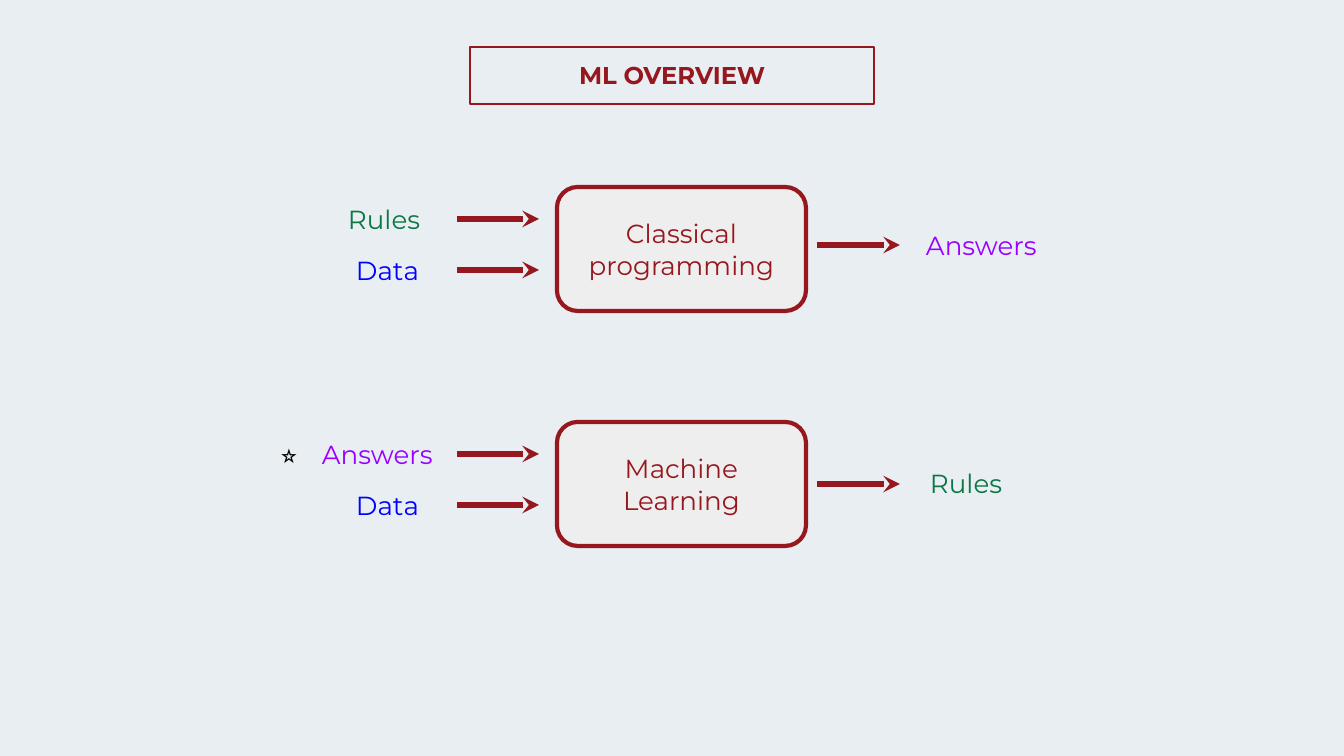
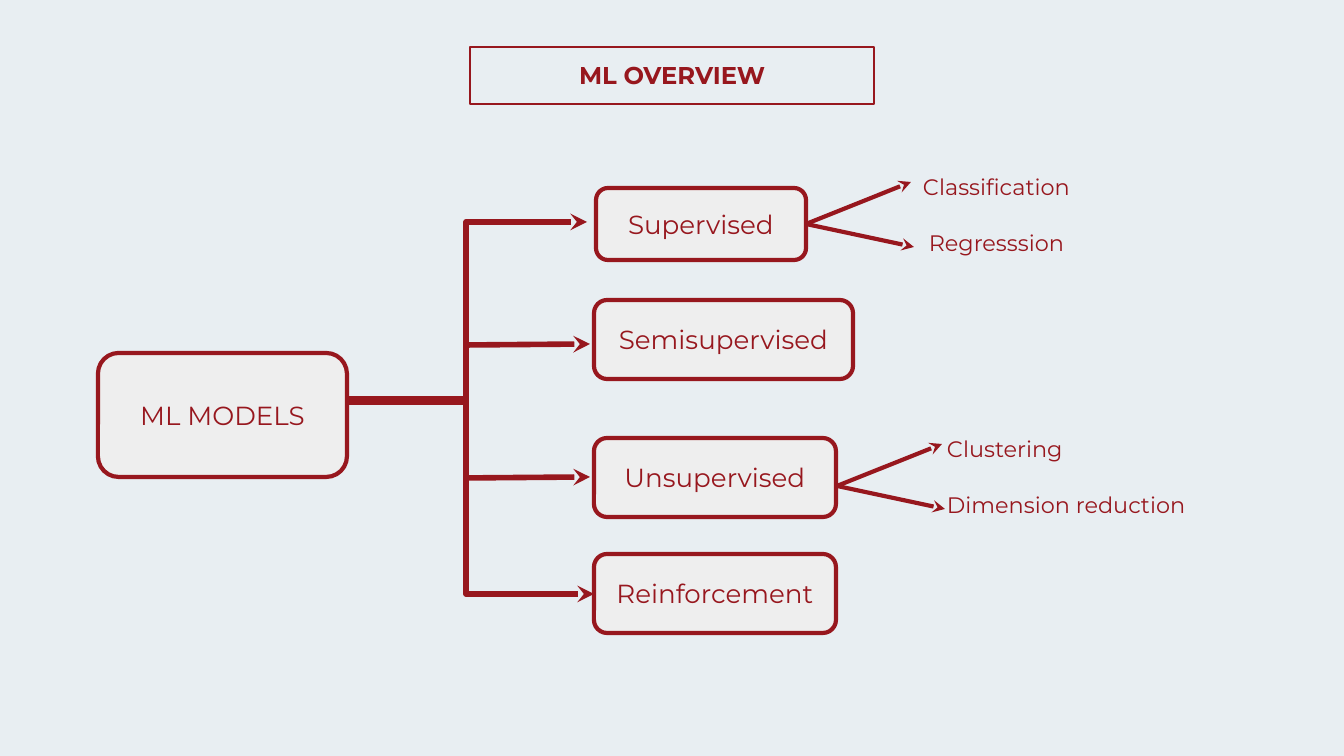
from dataclasses import dataclass

import pptx
import pptx.dml.color
import pptx.enum.shapes
import pptx.enum.text
import pptx.oxml
import pptx.oxml.ns
import pptx.util

EMU_PER_PX = 914400 / 134.4
SHAPE = pptx.enum.shapes.MSO_SHAPE
CONNECTOR = pptx.enum.shapes.MSO_CONNECTOR
ALIGN = pptx.enum.text.PP_ALIGN


@dataclass(frozen=True)
class Theme:
    background: str = "E8EEF2"
    accent: str = "97171E"
    box_fill: str = "EEEEEE"
    rules: str = "0B7743"
    data: str = "0000FF"
    answers: str = "9900FF"
    star: str = "000000"
    font: str = "Montserrat"
    star_font: str = "Arial"
    title_size: int = 13
    body_size: int = 14
    small_size: int = 12
    frame_line: float = 0.75
    box_line: float = 2.25
    flow_line: float = 3
    branch_gap: float = 15.5


THEME = Theme()


def px(*lengths):
    return [round(length * EMU_PER_PX) for length in lengths]


def rgb(color):
    return pptx.dml.color.RGBColor.from_string(color)


def write(frame, text, size, color, align, font=THEME.font, bold=False, gap=0):
    frame.word_wrap = True
    inset, = px(13)
    frame.margin_left = frame.margin_right = inset
    frame.margin_top = frame.margin_bottom = inset
    frame.text = text
    for index, paragraph in enumerate(frame.paragraphs):
        paragraph.alignment = align
        if index:
            paragraph.space_before = pptx.util.Pt(gap)
        for run in paragraph.runs:
            run.font.name = font
            run.font.size = pptx.util.Pt(size)
            run.font.bold = bold
            run.font.color.rgb = rgb(color)


def add_label(slide, bounds, text, color, size=THEME.body_size, align=ALIGN.LEFT, **style):
    label = slide.shapes.add_textbox(*px(*bounds))
    write(label.text_frame, text, size, color, align, **style)
    label.text_frame.auto_size = pptx.enum.text.MSO_AUTO_SIZE.SHAPE_TO_FIT_TEXT


def add_outline(slide, preset, bounds, width):
    outline = slide.shapes.add_shape(preset, *px(*bounds))
    outline.shadow.inherit = False
    outline.line.color.rgb = rgb(THEME.accent)
    outline.line.width = pptx.util.Pt(width)
    return outline


def add_box(slide, bounds, text):
    box = add_outline(slide, SHAPE.ROUNDED_RECTANGLE, bounds, THEME.box_line)
    box.fill.solid()
    box.fill.fore_color.rgb = rgb(THEME.box_fill)
    write(box.text_frame, text, THEME.body_size, THEME.accent, ALIGN.CENTER)
    box.text_frame.vertical_anchor = pptx.enum.text.MSO_ANCHOR.MIDDLE
    return box


def add_arrow(slide, start, end, width=THEME.flow_line, kind=CONNECTOR.STRAIGHT):
    arrow = slide.shapes.add_connector(kind, *px(*start, *end))
    arrow.line.color.rgb = rgb(THEME.accent)
    arrow.line.width = pptx.util.Pt(width)
    head = pptx.oxml.ns.nsdecls("a")
    arrow.line._get_or_add_ln().append(
        pptx.oxml.parse_xml(f'<a:tailEnd {head} type="stealth"/>'))
    arrow._element.spPr.append(pptx.oxml.parse_xml(f"<a:effectLst {head}/>"))
    return arrow


def add_trunk(slide, start, end, bend_x):
    trunk = add_arrow(slide, start, end, kind=CONNECTOR.ELBOW)
    bend = round((bend_x - start[0]) / (end[0] - start[0]) * 100000)
    guides = trunk._element.spPr.find(".//" + pptx.oxml.ns.qn("a:avLst"))
    guides.append(pptx.oxml.parse_xml(
        f'<a:gd {pptx.oxml.ns.nsdecls("a")} name="adj1" fmla="val {bend}"/>'))


def add_branches(slide, origin, tasks, width, align, parent=None):
    x, y = origin
    for dx, dy in ((105, -42), (108, 23)):
        branch = add_arrow(slide, origin, (x + dx, y + dy), THEME.box_line)
        if parent is not None:
            branch.begin_connect(parent, 3)
    add_label(slide, (x + 97, y - 64, width, 110), "\n".join(tasks), THEME.accent,
              THEME.small_size, align, gap=THEME.branch_gap)


def add_titled_slide(deck):
    slide = deck.slides.add_slide(deck.slide_layouts[6])
    slide.background.fill.solid()
    slide.background.fill.fore_color.rgb = rgb(THEME.background)
    frame = add_outline(slide, SHAPE.RECTANGLE, (470, 47, 404, 57), THEME.frame_line)
    frame.fill.background()
    add_label(slide, (427, 47, 490, 57), "ML OVERVIEW", THEME.accent,
              THEME.title_size, ALIGN.CENTER, bold=True)
    return slide


def add_process(slide, top, name, output_y):
    add_box(slide, (557, top, 249, 124), name)
    for input_y in (top + 32, top + 83):
        add_arrow(slide, (457, input_y), (539, input_y))
    add_arrow(slide, (817, output_y), (900, output_y))


def build_comparison(deck):
    slide = add_titled_slide(deck)
    add_process(slide, 187, "Classical programming", 245)
    add_process(slide, 422, "Machine Learning", 484)
    terms = (
        ("Rules", THEME.rules, 335, 190, 113),
        ("Data", THEME.data, 343, 241, 113),
        ("Answers", THEME.answers, 913, 216, 191),
        ("Answers", THEME.answers, 309, 425, 191),
        ("Data", THEME.data, 343, 476, 113),
        ("Rules", THEME.rules, 917, 454, 113),
    )
    for term, color, left, top, width in terms:
        add_label(slide, (left, top, width, 59), term, color)
    add_label(slide, (267, 425, 54, 59), "⭐️", THEME.star, font=THEME.star_font)


def build_model_tree(deck):
    slide = add_titled_slide(deck)
    add_box(slide, (98, 353, 249, 124), "ML MODELS")
    add_trunk(slide, (346, 402), (587, 222), 466)
    add_trunk(slide, (346, 399), (594, 594), 466)
    for y in (345, 478):
        add_arrow(slide, (465, y), (590, y - 1))

    supervised = add_box(slide, (596, 188, 210, 72), "Supervised")
    for family, top, width in (("Semisupervised", 300, 259),
                               ("Unsupervised", 438, 242),
                               ("Reinforcement", 554, 242)):
        add_box(slide, (594, top, width, 79), family)

    add_branches(slide, (806, 224), ("Classification", "Regresssion"),
                 187, ALIGN.CENTER, supervised)
    add_branches(slide, (837, 486), ("Clustering", "Dimension reduction"),
                 277, ALIGN.LEFT)


def main():
    deck = pptx.Presentation()
    deck.slide_width, deck.slide_height = px(1344, 756)
    build_comparison(deck)
    build_model_tree(deck)
    deck.save("out.pptx")


if __name__ == "__main__":
    main()
